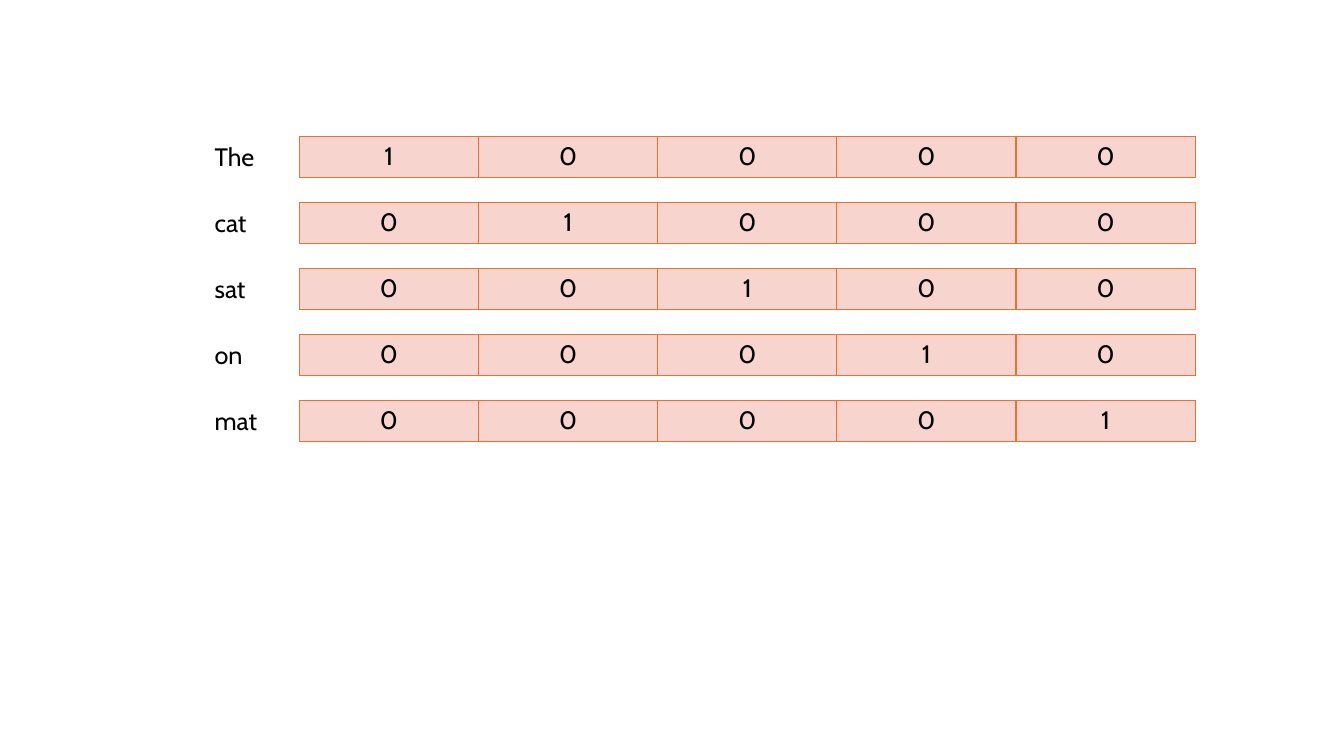
from lxml.etree import SubElement
from pptx import Presentation
from pptx.dml.color import RGBColor
from pptx.enum.text import MSO_ANCHOR, MSO_AUTO_SIZE, PP_ALIGN
from pptx.oxml.ns import qn
from pptx.util import Pt

COLOURS = {"text": "000000", "cell": "F7D5CE", "border": "E97132"}
WORDS = ["The", "cat", "sat", "on", "mat"]
LABEL_WIDTHS = [44, 40, 40, 36, 46]
LABEL_LEFT = 146.2
VECTOR_LEFT = 213.8
TOP = 97.3
ROW_PITCH = 47.2
ROW_HEIGHT = 29.2
COLUMN_WIDTH = 128


class SlideBuilder:
    font_name = "Cabin"
    font_size = 18
    border_width = 1

    def __init__(self, slide):
        self.slide = slide

    def style_text(self, frame, align):
        para = frame.paragraphs[0]
        para.alignment = align
        for span in para.runs:
            span.font.name = self.font_name
            span.font.size = Pt(self.font_size)
            span.font.bold = False
            span.font.color.rgb = RGBColor.from_string(COLOURS["text"])

    def label(self, text, left, top, width, height):
        box = self.slide.shapes.add_textbox(Pt(left), Pt(top), Pt(width), Pt(height))
        frame = box.text_frame
        frame.word_wrap = False
        frame.auto_size = MSO_AUTO_SIZE.SHAPE_TO_FIT_TEXT
        frame.text = text
        self.style_text(frame, PP_ALIGN.LEFT)

    def border(self, cell):
        properties = cell._tc.get_or_add_tcPr()
        for side in ("a:lnL", "a:lnR", "a:lnT", "a:lnB"):
            line = SubElement(properties, qn(side), w=str(Pt(self.border_width)))
            fill = SubElement(line, qn("a:solidFill"))
            SubElement(fill, qn("a:srgbClr"), val=COLOURS["border"])

    def vector(self, values, left, top, column_width, height):
        width = column_width * len(values)
        frame = self.slide.shapes.add_table(
            1, len(values), Pt(left), Pt(top), Pt(width), Pt(height)
        )
        table = frame.table
        table.first_row = False
        table.horz_banding = False
        for column, value in enumerate(values):
            table.columns[column].width = Pt(column_width)
            cell = table.cell(0, column)
            cell.text = str(value)
            cell.vertical_anchor = MSO_ANCHOR.TOP
            self.style_text(cell.text_frame, PP_ALIGN.CENTER)
            self.border(cell)
            cell.fill.solid()
            cell.fill.fore_color.rgb = RGBColor.from_string(COLOURS["cell"])


def main():
    deck = Presentation()
    deck.slide_width = Pt(960)
    deck.slide_height = Pt(540)
    page = SlideBuilder(deck.slides.add_slide(deck.slide_layouts[6]))
    for row, (word, width) in enumerate(zip(WORDS, LABEL_WIDTHS)):
        top = TOP + row * ROW_PITCH
        one_hot = [int(column == row) for column in range(len(WORDS))]
        page.label(word, LABEL_LEFT, top, width, ROW_HEIGHT)
        page.vector(one_hot, VECTOR_LEFT, top, COLUMN_WIDTH, ROW_HEIGHT)
    deck.save("out.pptx")


if __name__ == "__main__":
    main()
